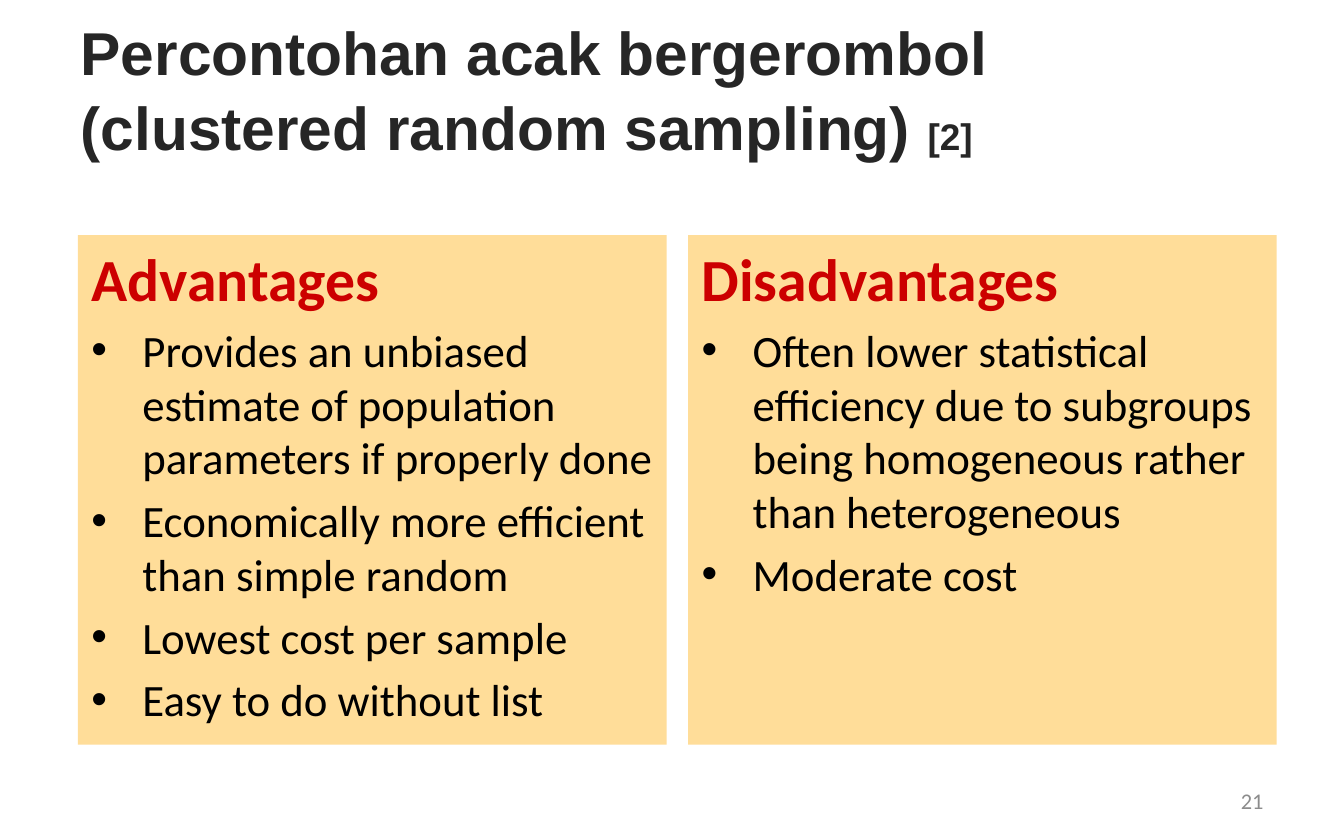
import pptx
import pptx.util
import pptx.dml.color
import pptx.enum.text
import lxml.etree

Inches = pptx.util.Inches
Pt = pptx.util.Pt
enum = pptx.enum.text


def paint(color, code):
    color.rgb = pptx.dml.color.RGBColor.from_string(code)


def write(para, text, size, face, code, bold=False):
    run = para.add_run()
    run.text = text
    run.font.size = Pt(size)
    run.font.name = face
    run.font.bold = bold
    paint(run.font.color, code)


deck = pptx.Presentation()
deck.slide_width = Inches(10)
deck.slide_height = Inches(6.25)
slide = deck.slides.add_slide(deck.slide_layouts[3])

title = slide.shapes.title
title.left, title.top = Inches(0.5), Inches(0.13)
title.width, title.height = Inches(9), Inches(1.04)
frame = title.text_frame
frame.auto_size = enum.MSO_AUTO_SIZE.NONE
frame.vertical_anchor = enum.MSO_ANCHOR.MIDDLE
para = frame.paragraphs[0]
para.alignment = enum.PP_ALIGN.LEFT
para.line_spacing = 1.04
write(para, "Percontohan acak bergerombol", 32.4, "Arial", "262626", True)
para.add_line_break()
write(para, "(clustered random sampling) ", 32.4, "Arial", "262626", True)
write(para, "[2]", 19.8, "Arial", "262626", True)

lists = [
    ("Advantages", [
        "Provides an unbiased estimate of population parameters if properly done",
        "Economically more efficient than simple random",
        "Lowest cost per sample",
        "Easy to do without list",
    ]),
    ("Disadvantages", [
        "Often lower statistical efficiency due to subgroups being homogeneous rather than heterogeneous",
        "Moderate cost",
    ]),
]
for col, (head, items) in enumerate(lists):
    panel = slide.placeholders[col + 1]
    panel.left, panel.top = Inches(0.58 + col * 4.54), Inches(1.75)
    panel.width, panel.height = Inches(4.38), Inches(3.79)
    panel.fill.solid()
    paint(panel.fill.fore_color, "FFDD99")
    frame = panel.text_frame
    frame.auto_size = enum.MSO_AUTO_SIZE.NONE
    frame.vertical_anchor = enum.MSO_ANCHOR.TOP
    for row, text in enumerate([head] + items):
        para = frame.add_paragraph() if row else frame.paragraphs[0]
        props = para._p.get_or_add_pPr()
        props.set("marL", str(Inches(0.38)))
        props.set("indent", str(-Inches(0.38)))
        mark = lxml.etree.SubElement(
            props, pptx.oxml.ns.qn("a:buChar" if row else "a:buNone"))
        if row:
            mark.set("char", "•")
            para.space_before = Pt(4.8)
            write(para, text, 24, "Calibri", "000000")
        else:
            para.space_before = Pt(0)
            write(para, text, 32, "Calibri", "CC0000", True)

page = slide.shapes.add_textbox(Inches(7.17), Inches(5.79), Inches(2.33), Inches(0.33))
frame = page.text_frame
frame.word_wrap = True
frame.vertical_anchor = enum.MSO_ANCHOR.MIDDLE
para = frame.paragraphs[0]
para.alignment = enum.PP_ALIGN.RIGHT
write(para, "21", 12, "Calibri", "8C8C8C")

deck.save("out.pptx")
